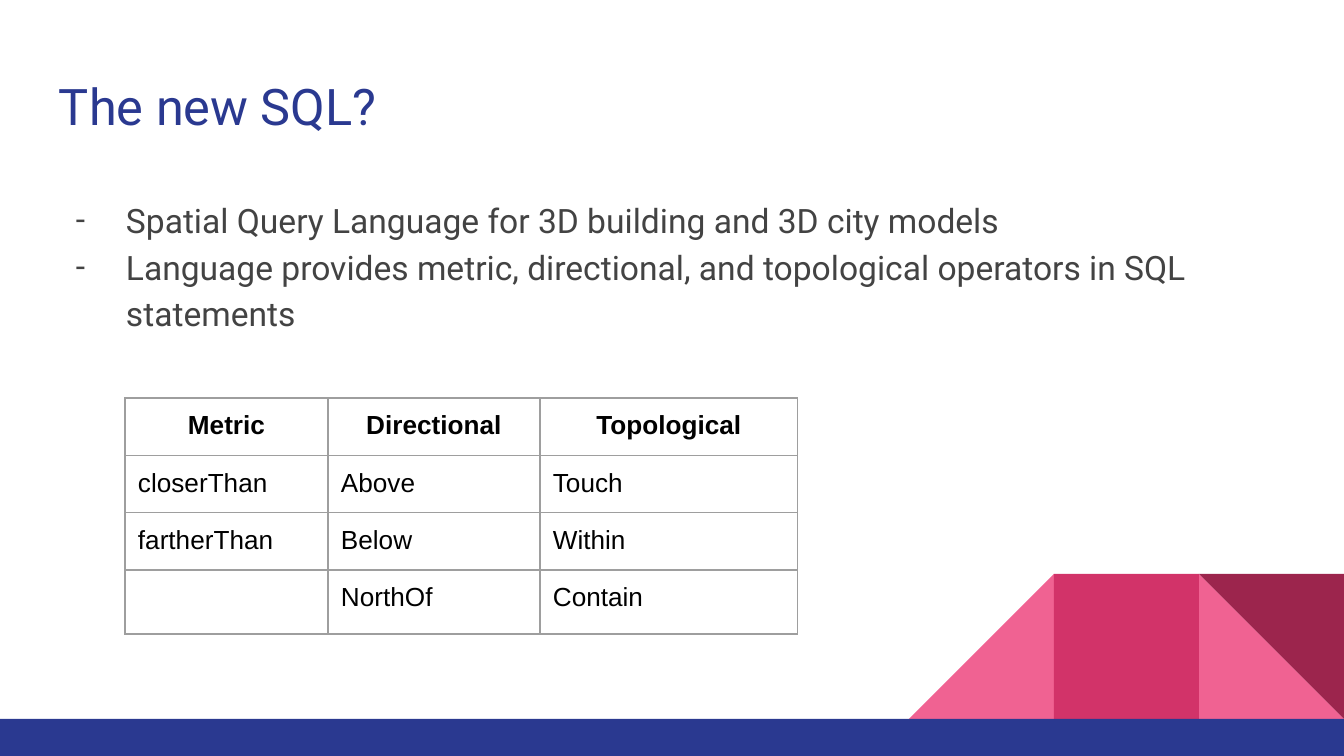
from dataclasses import dataclass

from lxml.etree import SubElement
from pptx import Presentation
from pptx.dml.color import RGBColor
from pptx.enum.shapes import MSO_SHAPE
from pptx.enum.text import MSO_ANCHOR, PP_ALIGN
from pptx.oxml.ns import qn
from pptx.slide import Slide
from pptx.table import _Cell
from pptx.text.text import TextFrame, _Paragraph
from pptx.util import Emu, Pt

SLIDE_WIDTH, SLIDE_HEIGHT = 1344, 756
EMU_PER_PX = 9144000 / SLIDE_WIDTH
INSET = 13
TILE = 145
TILE_LEFT, TILE_TOP = 909, 574
NAVY, GREY, PINK = "2A3990", "434343", "F06292"
HEADER = ["Metric", "Directional", "Topological"]
ROWS = [
    HEADER,
    ["closerThan", "Above", "Touch"],
    ["fartherThan", "Below", "Within"],
    ["", "NorthOf", "Contain"],
]
COLUMN_WIDTHS = [203, 212, 258]
ROW_HEIGHTS = [56, 56, 56, 64]
BULLETS = [
    "Spatial Query Language for 3D building and 3D city models",
    "Language provides metric, directional, and topological operators in SQL statements",
]


@dataclass
class Block:
    kind: MSO_SHAPE
    left: int
    top: int
    width: int
    height: int
    color: str
    rotation: int = 0


def tile(kind: MSO_SHAPE, column: int, color: str, rotation: int = 0) -> Block:
    return Block(kind, TILE_LEFT + column * TILE, TILE_TOP, TILE, TILE, color, rotation)


BLOCKS = [
    tile(MSO_SHAPE.RIGHT_TRIANGLE, 2, PINK),
    tile(MSO_SHAPE.RIGHT_TRIANGLE, 0, PINK, 270),
    tile(MSO_SHAPE.RECTANGLE, 1, "D23369"),
    tile(MSO_SHAPE.RIGHT_TRIANGLE, 2, "9C254D", 180),
    Block(MSO_SHAPE.RECTANGLE, 0, TILE_TOP + TILE, SLIDE_WIDTH, 37, NAVY),
]


def px(length: int) -> Emu:
    return Emu(round(length * EMU_PER_PX))


def rgb(color: str) -> RGBColor:
    return RGBColor.from_string(color)


def add_block(slide: Slide, block: Block) -> None:
    shape = slide.shapes.add_shape(
        block.kind, px(block.left), px(block.top), px(block.width), px(block.height)
    )
    shape.shadow.inherit = False
    shape.fill.solid()
    shape.fill.fore_color.rgb = rgb(block.color)
    shape.line.fill.background()
    shape.rotation = block.rotation


def set_insets(target: TextFrame | _Cell) -> None:
    target.margin_left = target.margin_right = px(INSET)
    target.margin_top = target.margin_bottom = px(INSET)


def add_text(slide: Slide, top: int, height: int, text: str) -> TextFrame:
    text_frame = slide.shapes.add_textbox(px(46), px(top), px(1252), px(height)).text_frame
    text_frame.word_wrap = True
    set_insets(text_frame)
    text_frame.text = text
    return text_frame


def format_text(paragraph: _Paragraph, size: int, font: str, color: str, bold: bool = False) -> None:
    for run in paragraph.runs:
        run.font.size = Pt(size)
        run.font.name = font
        run.font.bold = bold
        run.font.color.rgb = rgb(color)


def add_bullet(paragraph: _Paragraph) -> None:
    properties = paragraph._p.get_or_add_pPr()
    properties.set("marL", str(px(67)))
    properties.set("indent", str(px(-50)))
    bullet_color = SubElement(properties, qn("a:buClr"))
    SubElement(bullet_color, qn("a:srgbClr"), val=GREY)
    SubElement(properties, qn("a:buFont"), typeface="Roboto")
    SubElement(properties, qn("a:buChar"), char="-")
    paragraph.line_spacing = 1.15


def add_borders(cell: _Cell) -> None:
    properties = cell._tc.get_or_add_tcPr()
    for side in ("lnL", "lnR", "lnT", "lnB"):
        line = SubElement(properties, qn(f"a:{side}"), w=str(Pt(0.75)))
        fill = SubElement(line, qn("a:solidFill"))
        SubElement(fill, qn("a:srgbClr"), val="9E9E9E")


def add_operator_table(slide: Slide) -> None:
    table = slide.shapes.add_table(
        len(ROWS), len(HEADER), px(125), px(398), px(sum(COLUMN_WIDTHS)), px(sum(ROW_HEIGHTS))
    ).table
    table.first_row = False
    table.horz_banding = False
    for column, width in zip(table.columns, COLUMN_WIDTHS):
        column.width = px(width)
    for row, height, texts in zip(table.rows, ROW_HEIGHTS, ROWS):
        row.height = px(height)
        is_header = texts is HEADER
        for cell, text in zip(row.cells, texts):
            set_insets(cell)
            add_borders(cell)
            cell.fill.background()
            cell.text = text
            paragraph = cell.text_frame.paragraphs[0]
            paragraph.font.size = Pt(14)
            paragraph.alignment = PP_ALIGN.CENTER if is_header else PP_ALIGN.LEFT
            format_text(paragraph, 14, "Arial", "000000", is_header)


def main() -> None:
    presentation = Presentation()
    presentation.slide_width = px(SLIDE_WIDTH)
    presentation.slide_height = px(SLIDE_HEIGHT)
    slide = presentation.slides.add_slide(presentation.slide_layouts[6])
    for block in BLOCKS:
        add_block(slide, block)

    title = add_text(slide, 60, 89, "The new SQL?")
    title.vertical_anchor = MSO_ANCHOR.BOTTOM
    format_text(title.paragraphs[0], 27, "Roboto", NAVY)

    body = add_text(slide, 181, 491, "\n".join(BULLETS))
    for paragraph in body.paragraphs:
        add_bullet(paragraph)
        format_text(paragraph, 18, "Roboto", GREY)

    add_operator_table(slide)
    presentation.save("out.pptx")


if __name__ == "__main__":
    main()
